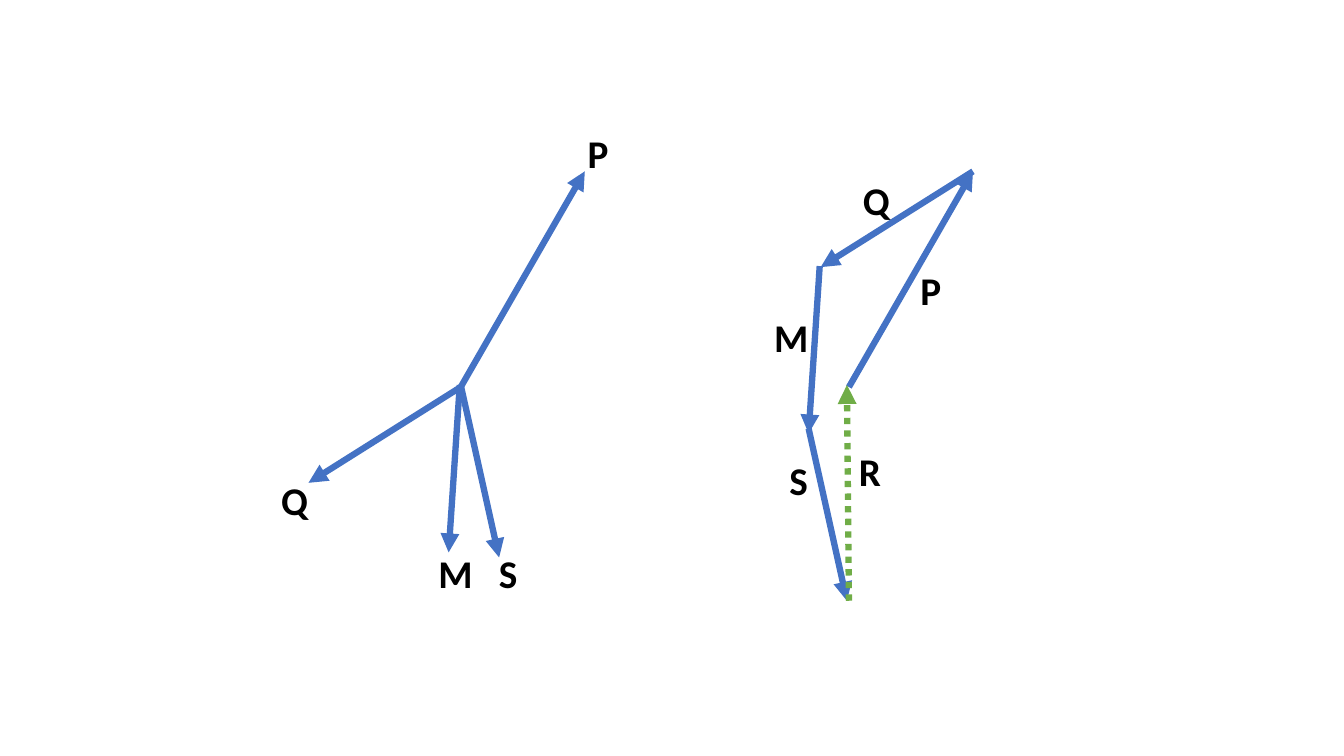
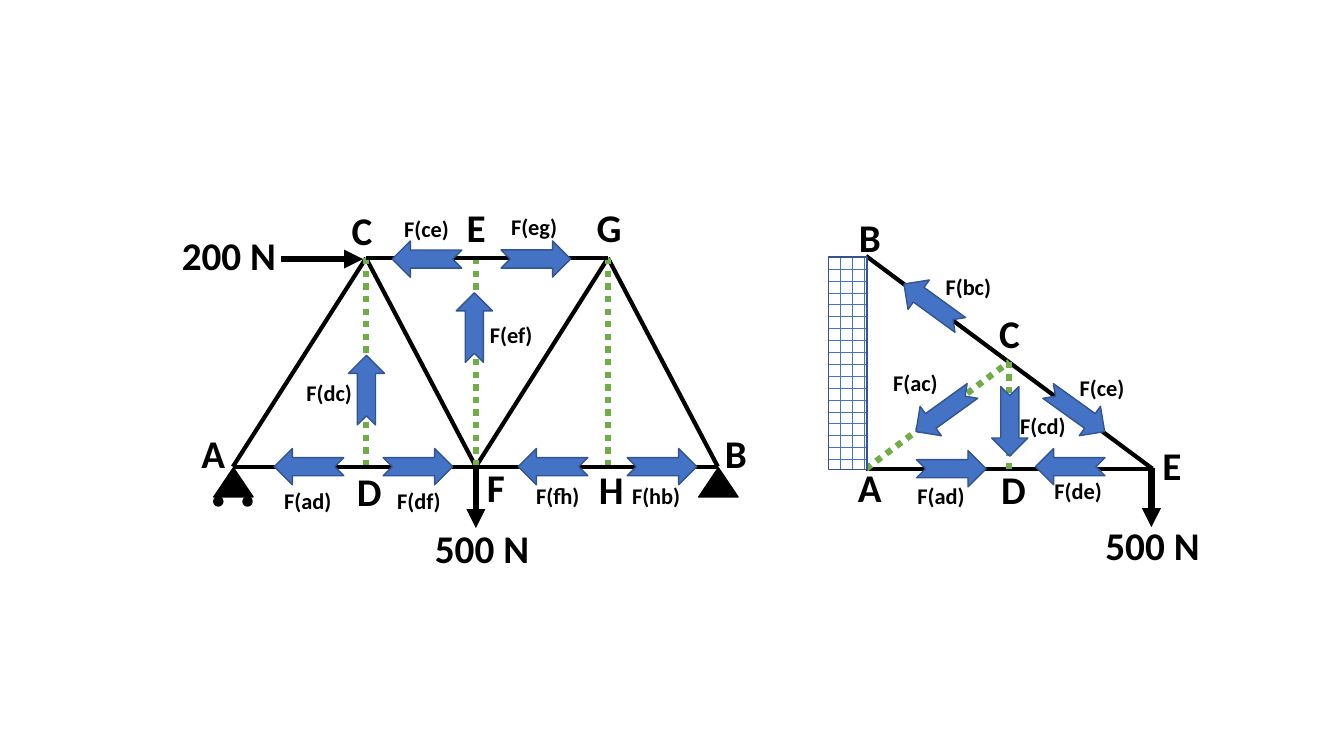
"""Build two slides: a force polygon, and two trusses with their member forces."""
from lxml import etree
from pptx import Presentation
from pptx.dml.color import RGBColor
from pptx.enum.dml import MSO_LINE, MSO_PATTERN
from pptx.enum.shapes import MSO_CONNECTOR, MSO_SHAPE
from pptx.enum.text import MSO_AUTO_SIZE, PP_ALIGN
from pptx.oxml.ns import qn
from pptx.util import Inches, Pt

STRAIGHT = MSO_CONNECTOR.STRAIGHT
DOTTED = MSO_LINE.ROUND_DOT
BRICK = MSO_PATTERN.HORIZONTAL_BRICK
ARROW = MSO_SHAPE.NOTCHED_RIGHT_ARROW
TRIANGLE, OVAL, RECT = MSO_SHAPE.ISOSCELES_TRIANGLE, MSO_SHAPE.OVAL, MSO_SHAPE.RECTANGLE
LEFT, CENTER = PP_ALIGN.LEFT, PP_ALIGN.CENTER
FIT = MSO_AUTO_SIZE.SHAPE_TO_FIT_TEXT
FONT = "Calibri"
BLACK, WHITE, BLUE, NAVY, GREEN = "000000", "FFFFFF", "4472C4", "325491", "70AD47"
rgb = RGBColor.from_string


def add_text(s, text, x, y, w=0.41, h=0.57, size=28, align=LEFT):
    tf = s.shapes.add_textbox(Inches(x), Inches(y), Inches(w), Inches(h)).text_frame
    tf.word_wrap = True
    tf.auto_size = FIT
    p = tf.paragraphs[0]
    p.alignment = align
    r = p.add_run()
    r.text = text
    r.font.name, r.font.size, r.font.bold = FONT, Pt(size), True
    r.font.color.rgb = rgb(BLACK)


def add_line(s, start, end, color=BLACK, width=4.5, dotted=False, arrow=False):
    line = s.shapes.add_connector(STRAIGHT, *[Inches(v) for v in (*start, *end)])
    line.line.color.rgb = rgb(color)
    line.line.width = Pt(width)
    if dotted:
        line.line.dash_style = DOTTED
    if arrow:
        ln = line.line._get_or_add_ln()
        etree.SubElement(ln, qn("a:tailEnd"), type="triangle")
    etree.SubElement(line._element.spPr, qn("a:effectLst"))


prs = Presentation()
prs.slide_width, prs.slide_height = Inches(13.33), Inches(7.5)
blank = prs.slide_layouts[6]

# name, vector, (start, label) from the common point, (start, label) in the polygon
s = prs.slides.add_slide(blank)
forces = [
    ("P", (1.23, -2.14), ((4.57, 3.84), (5.73, 1.23)), ((8.42, 3.84), (9.03, 2.59))),
    ("Q", (-1.51, 0.95), ((4.57, 3.84), (2.69, 4.68)), ((9.65, 1.7), (8.46, 1.7))),
    ("M", (-0.11, 1.66), ((4.56, 3.82), (4.25, 5.4)), ((8.13, 2.64), (7.58, 3.06))),
    ("S", (0.38, 1.71), ((4.57, 3.82), (4.85, 5.4)), ((8.02, 4.25), (7.73, 4.48))),
]
for name, (dx, dy), *places in forces:
    for (x, y), label in places:
        add_line(s, (x, y), (x + dx, y + dy), BLUE, arrow=True)
        add_text(s, name, *label)
add_line(s, (8.42, 5.96), (8.4, 3.82), GREEN, dotted=True, arrow=True)
add_text(s, "R", 8.42, 4.39)

s = prs.slides.add_slide(blank)
bridge = {"A": (2.31, 4.63), "B": (7.12, 4.63), "C": (3.63, 2.56), "D": (3.63, 4.63),
          "E": (4.72, 2.56), "F": (4.72, 4.63), "G": (6.03, 2.56), "H": (6.03, 4.63)}
bracket = {"A": (8.59, 4.65), "B": (8.59, 2.54), "C": (10.01, 3.59),
           "D": (10.01, 4.65), "E": (11.43, 4.65)}
trusses = [
    (bridge, ["AC", "CF", "FG", "GB"], ["CD", "EF", "GH"]),
    (bridge, ["CG", "AB"], []),
    (bracket, ["AB", "BE", "AE"], ["AC", "CD"]),
]
for joints, members, cuts in trusses:
    for a, b in members:
        add_line(s, joints[a], joints[b], width=3)
    for a, b in cuts:
        add_line(s, joints[a], joints[b], GREEN, dotted=True)

loads = [
    ("200 N", (2.79, 2.57), (3.6, 2.57), (1.58, 2.25)),
    ("500 N", (4.72, 4.65), (4.72, 5.24), (4.09, 5.15)),
    ("500 N", (11.42, 4.64), (11.42, 5.23), (10.74, 5.12)),
]
for text, start, end, label in loads:
    add_line(s, start, end, arrow=True)
    add_text(s, text, *label, w=1.38, align=CENTER)

supports = [(TRIANGLE, x, 4.64, 0.39, 0.29, 0, BLACK, BLACK) for x in (2.12, 6.93)]
rollers = [(OVAL, x, 4.93, 0.09, 0.09, 0, BLACK, BLACK) for x in (2.12, 2.41)]
wall = [(RECT, 8.22, 2.55, 0.38, 2.11, 0, None, NAVY)]

# text, label position, arrow position, arrow rotation
member_forces = [
    ("F(ad)", (2.72, 4.78), (2.72, 4.45), 180),
    ("F(dc)", (2.94, 3.71), (3.29, 3.69), 270),
    ("F(df)", (3.84, 4.78), (3.8, 4.45), 0),
    ("F(ce)", (3.91, 2.09), (3.89, 2.39), 180),
    ("F(eg)", (4.97, 2.07), (4.97, 2.39), 0),
    ("F(ef)", (4.76, 3.14), (4.36, 3.07), 270),
    ("F(fh)", (5.22, 4.73), (5.14, 4.45), 180),
    ("F(hb)", (6.17, 4.73), (6.22, 4.45), 0),
    ("F(bc)", (9.28, 2.66), (8.9, 2.84), 216),
    ("F(ce)", (10.61, 3.66), (10.33, 3.9), 35.7),
    ("F(ad)", (9, 4.73), (9.09, 4.47), 0),
    ("F(de)", (10.36, 4.68), (10.27, 4.45), 180),
    ("F(ac)", (8.76, 3.61), (9.02, 3.9), 144.2),
    ("F(cd)", (10.02, 4.04), (9.67, 4), 90),
]
arrows = [(ARROW, *at, 0.69, 0.36, turn, BLUE, NAVY) for _, _, at, turn in member_forces]

for kind, x, y, w, h, turn, fill, outline in supports + rollers + wall + arrows:
    sp = s.shapes.add_shape(kind, Inches(x), Inches(y), Inches(w), Inches(h))
    sp.rotation = turn
    sp.shadow.inherit = False
    sp.line.color.rgb = rgb(outline)
    sp.line.width = Pt(1)
    if fill:
        sp.fill.solid()
        sp.fill.fore_color.rgb = rgb(fill)
    else:
        sp.fill.patterned()
        sp.fill.pattern = BRICK
        sp.fill.fore_color.rgb = rgb(BLUE)
        sp.fill.back_color.rgb = rgb(WHITE)

for text, label, _, _ in member_forces:
    add_text(s, text, *label, w=0.72, h=0.37, size=16)

joint_labels = [
    ("A", 1.9, 4.21), ("C", 3.39, 2), ("E", 4.53, 1.97), ("G", 5.82, 1.97),
    ("D", 3.44, 4.59), ("F", 4.73, 4.55), ("H", 5.84, 4.57), ("B", 7.09, 4.21),
    ("A", 8.41, 4.55), ("B", 8.42, 2.07), ("C", 9.81, 3.02), ("D", 9.83, 4.57),
    ("E", 11.43, 4.33),
]
for text, x, y in joint_labels:
    add_text(s, text, x, y)

prs.save("out.pptx")
